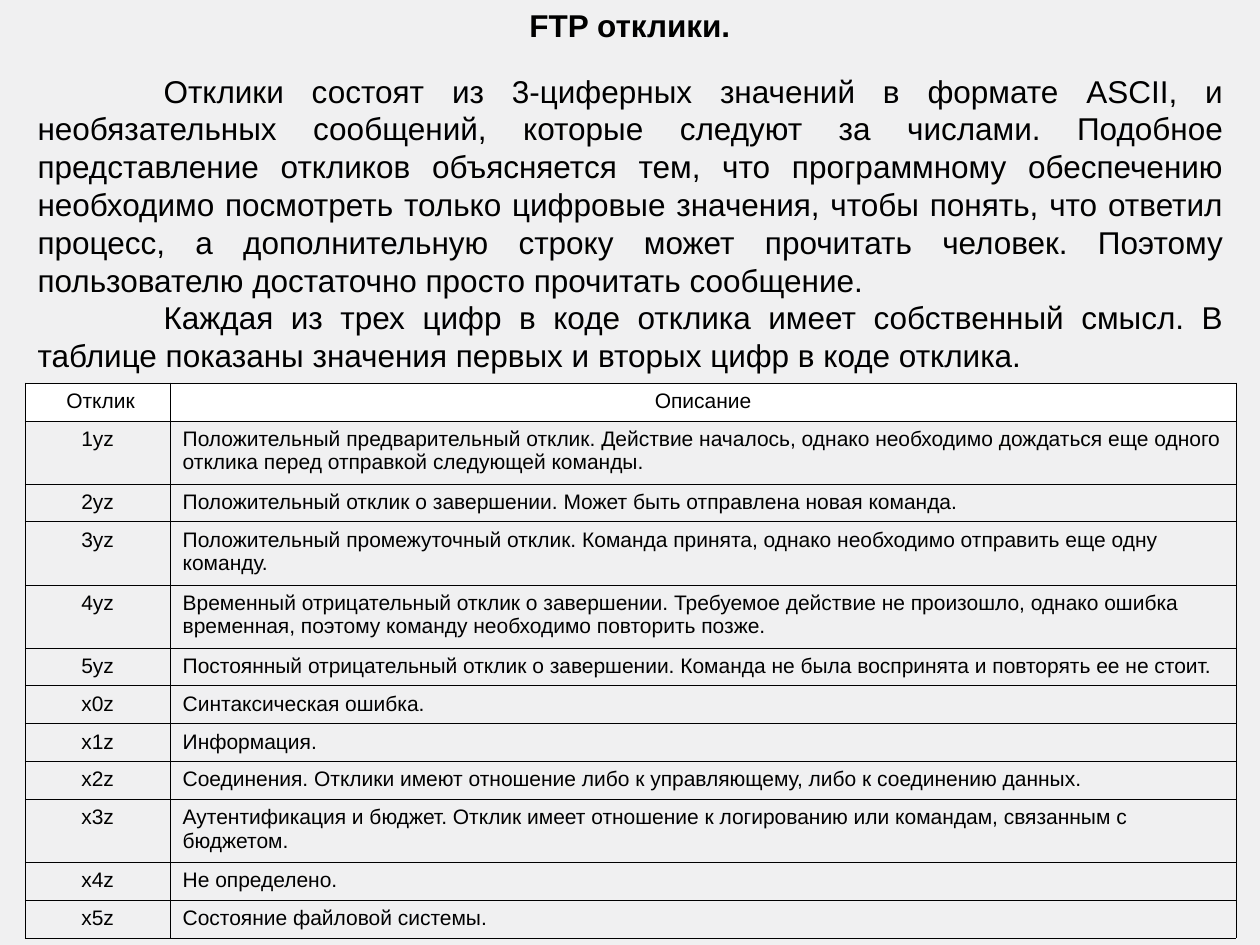
from dataclasses import dataclass

from lxml.etree import SubElement
from pptx import Presentation
from pptx.dml.color import RGBColor
from pptx.enum.text import MSO_ANCHOR as Anchor, PP_ALIGN as Align
from pptx.oxml.ns import qn
from pptx.util import Inches, Pt


@dataclass(frozen=True)
class Theme:
    font: str = "Arial"
    ink: RGBColor = RGBColor(0, 0, 0)
    paper: RGBColor = RGBColor(0xF0, 0xF0, 0xF1)
    header: RGBColor = RGBColor(0xFF, 0xFF, 0xFF)
    text_size: Pt = Pt(18)
    table_size: Pt = Pt(12)
    rule: Pt = Pt(0.45)


THEME = Theme()

TITLE = "FTP отклики."
INTRO = [
    "Отклики состоят из 3-циферных значений в формате ASCII, и необязательных "
    "сообщений, которые следуют за числами. Подобное представление откликов "
    "объясняется тем, что программному обеспечению необходимо посмотреть только "
    "цифровые значения, чтобы понять, что ответил процесс, а дополнительную строку "
    "может прочитать человек. Поэтому пользователю достаточно просто прочитать "
    "сообщение.",
    "Каждая из трех цифр в коде отклика имеет собственный смысл. В таблице показаны "
    "значения первых и вторых цифр в коде отклика.",
]
# Code, description, lines of text in the row
REPLIES = [
    ("\u00a0Отклик", "Описание", 1),
    ("1yz", "Положительный предварительный отклик. Действие началось, однако "
            "необходимо дождаться еще одного отклика перед отправкой следующей "
            "команды.", 2),
    ("2yz", "Положительный отклик о завершении. Может быть отправлена новая "
            "команда.", 1),
    ("3yz", "Положительный промежуточный отклик. Команда принята, однако "
            "необходимо отправить еще одну команду.", 2),
    ("4yz", "Временный отрицательный отклик о завершении. Требуемое действие не "
            "произошло, однако ошибка временная, поэтому команду необходимо "
            "повторить позже.", 2),
    ("5yz", "Постоянный отрицательный отклик о завершении. Команда не была "
            "воспринята и повторять ее не стоит.", 1),
    ("x0z", "Синтаксическая ошибка.", 1),
    ("x1z", "Информация.", 1),
    ("x2z", "Соединения. Отклики имеют отношение либо к управляющему, либо к "
            "соединению данных.", 1),
    ("x3z", "Аутентификация и бюджет. Отклик имеет отношение к логированию или "
            "командам, связанным с бюджетом.", 2),
    ("x4z", "Не определено.", 1),
    ("x5z", "Состояние файловой системы.", 1),
]


def write(paragraph, text, size, align, bold=False):
    paragraph.text = text
    paragraph.alignment = align
    font = paragraph.font
    font.name, font.size, font.bold = THEME.font, size, bold
    font.color.rgb = THEME.ink


def draw_borders(cell):
    properties = cell._tc.get_or_add_tcPr()
    for position, side in enumerate(("a:lnL", "a:lnR", "a:lnT", "a:lnB")):
        border = SubElement(properties, qn(side), w=str(int(THEME.rule)))
        fill = SubElement(border, qn("a:solidFill"))
        SubElement(fill, qn("a:srgbClr"), val=str(THEME.ink))
        properties.insert(position, border)


def place_title(slide, left, top, width, height):
    title = slide.shapes.title
    title.left, title.top, title.width, title.height = left, top, width, height
    title.text_frame.vertical_anchor = Anchor.TOP
    write(title.text_frame.paragraphs[0], TITLE, THEME.text_size, Align.CENTER, True)


def add_intro(slide, left, top, width, height):
    frame = slide.shapes.add_textbox(left, top, width, height).text_frame
    frame.word_wrap = True
    for number, text in enumerate(INTRO):
        paragraph = frame.add_paragraph() if number else frame.paragraphs[0]
        write(paragraph, text, THEME.text_size, Align.JUSTIFY)
        # First-line indent
        paragraph._p.get_or_add_pPr().set("indent", str(Inches(1)))


def add_replies(slide, left, top, width, code_width):
    heights = [Inches(0.1 + 0.2 * lines) for *_, lines in REPLIES]
    replies = slide.shapes.add_table(
        len(REPLIES), 2, left, top, width, sum(heights)).table
    replies.columns[0].width = code_width
    replies.columns[1].width = width - code_width
    for number, (code, description, _) in enumerate(REPLIES):
        replies.rows[number].height = heights[number]
        for column, text in enumerate((code, description)):
            cell = replies.cell(number, column)
            centred = number == 0 or column == 0
            write(cell.text_frame.paragraphs[0], text, THEME.table_size,
                  Align.CENTER if centred else Align.LEFT)
            if number == 0:
                cell.fill.solid()
                cell.fill.fore_color.rgb = THEME.header
            else:
                cell.fill.background()
            draw_borders(cell)


def build_slide(deck):
    slide = deck.slides.add_slide(deck.slide_layouts[5])
    slide.background.fill.solid()
    slide.background.fill.fore_color.rgb = THEME.paper
    margin = Inches(0.2)
    content_width = Inches(9.61)
    place_title(slide, 0, 0, deck.slide_width, Inches(0.4))
    add_intro(slide, margin, Inches(0.52), content_width, Inches(2.5))
    add_replies(slide, margin, Inches(3.04), content_width, Inches(1.15))


deck = Presentation()
deck.slide_width, deck.slide_height = Inches(10), Inches(7.5)
build_slide(deck)
deck.save("out.pptx")
